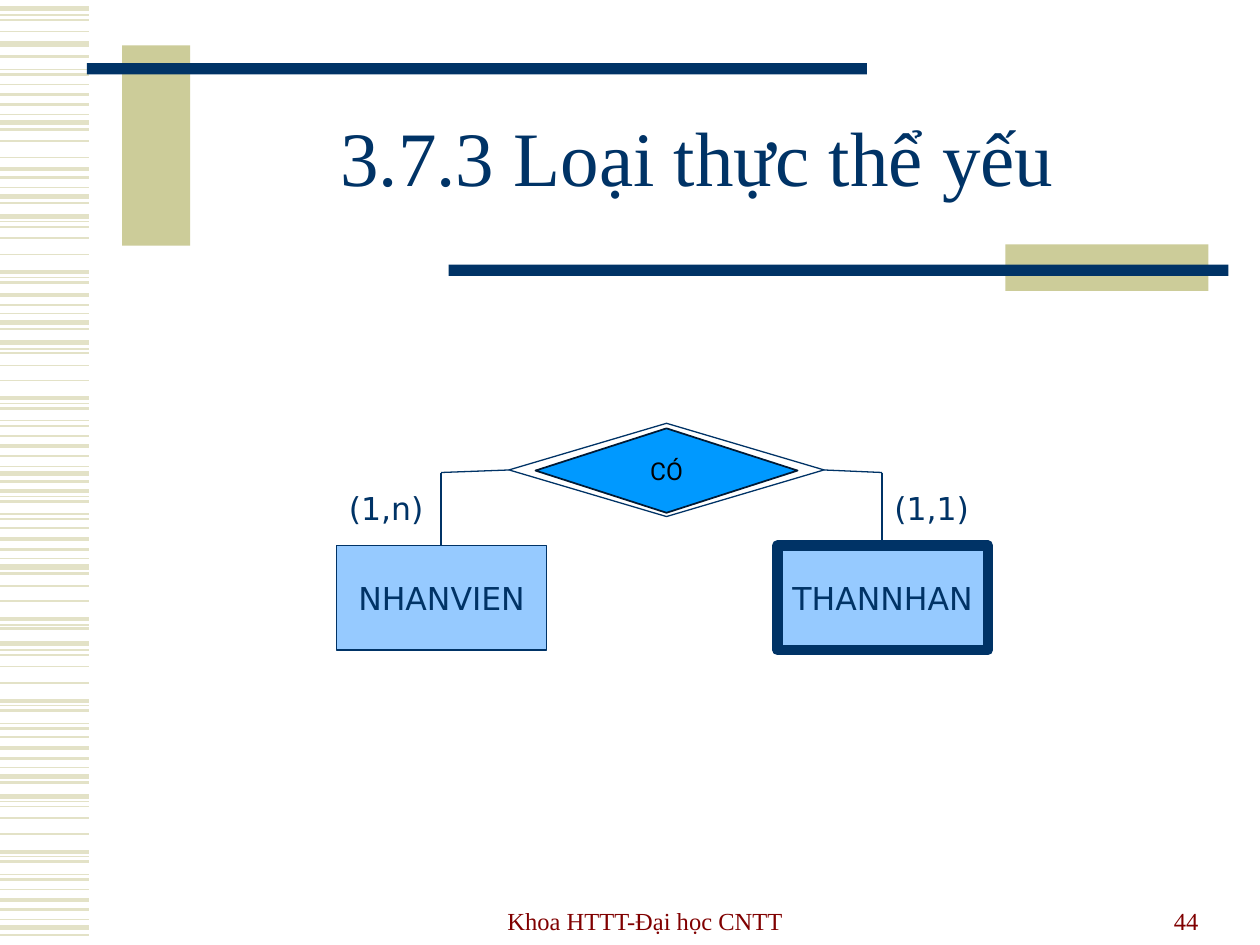
from dataclasses import dataclass

from lxml import etree
from pptx import Presentation
from pptx.dml.color import RGBColor
from pptx.enum.shapes import MSO_CONNECTOR, MSO_SHAPE
from pptx.enum.text import MSO_ANCHOR, PP_ALIGN
from pptx.oxml.ns import qn
from pptx.util import Inches, Pt

RECT, DIAMOND = MSO_SHAPE.RECTANGLE, MSO_SHAPE.FLOWCHART_DECISION
LEFT, CENTER, RIGHT = PP_ALIGN.LEFT, PP_ALIGN.CENTER, PP_ALIGN.RIGHT
TOP, MIDDLE, BOTTOM = MSO_ANCHOR.TOP, MSO_ANCHOR.MIDDLE, MSO_ANCHOR.BOTTOM


@dataclass(frozen=True)
class Theme:
    navy: str = "003366"
    khaki: str = "CCCC99"
    stripe: str = "E3E2C7"
    sky: str = "96CAFF"
    blue: str = "0099FF"
    edge: str = "001933"
    maroon: str = "800000"
    black: str = "000000"
    serif: str = "Times New Roman"
    sans: str = "DejaVu Sans"
    label: str = "Roboto"
    title: int = 44
    body: int = 18
    small: int = 14


theme = Theme()
deck = Presentation()
deck.slide_width, deck.slide_height = Inches(10), Inches(7.5)
slide = deck.slides.add_slide(deck.slide_layouts[6])


def write(shape, text, size=theme.body, font=theme.sans, color=theme.navy,
          align=CENTER, anchor=MIDDLE, wrap=True, space=None):
    frame = shape.text_frame
    frame.word_wrap = wrap
    frame.vertical_anchor = anchor
    para = frame.paragraphs[0]
    para.alignment = align
    if space:
        para.line_spacing = space
    run = para.add_run()
    run.text = text
    run.font.size, run.font.name = Pt(size), font
    run.font.color.rgb = RGBColor.from_string(color)


def rule(start, end, color, width):
    """Draw a straight line without a shadow."""
    line = slide.shapes.add_connector(
        MSO_CONNECTOR.STRAIGHT, *map(Inches, start + end))
    line.line.color.rgb = RGBColor.from_string(color)
    line.line.width = Pt(width)
    etree.SubElement(line._element.spPr, qn("a:effectLst"))


# Striped left margin: line width -> heights on the slide
stripes = {
    0.75: (0.12, 0.55, 0.91, 1.49, 1.76, 2.2, 2.49, 2.77, 3.2, 3.34, 3.7, 3.94,
           4.08, 4.43, 4.96, 5.16, 5.6, 5.74, 6.09, 6.36, 6.8, 6.94, 7.3),
    1: (0.16, 0.25, 0.67, 1.12, 1.25, 1.8, 1.89, 2.02, 2.8, 2.9, 3.02, 3.46,
        4.19, 4.65, 4.77, 5.2, 5.29, 5.42, 5.85, 6.4, 6.49, 6.62, 7.06),
    1.5: (0.45, 0.59, 0.83, 1.03, 1.41, 1.61, 2.24, 2.42, 2.61, 3.24, 3.38,
          3.62, 3.82, 3.98, 4.12, 4.36, 4.55, 4.99, 5.64, 5.78, 6.02, 6.21,
          6.84, 6.98, 7.22, 7.42),
    2.25: (0.75, 1.34, 2.16, 2.34, 3.16, 3.54, 3.9, 4.28, 4.91, 5.56, 5.94,
           6.76, 7.14),
    3: (0.07, 0.35, 0.97, 1.56, 1.72, 2.56, 2.72, 3.76, 4.5, 5.11, 6.16, 6.32,
        7.36),
}
for width, rows in stripes.items():
    for y in rows:
        rule((0, y), (0.71, y), theme.stripe, width)

# Links from the relationship to each entity
for x, tip in ((3.5, 4.04), (7, 6.54)):
    rule((x, 3.75), (tip, 3.73), theme.navy, 0.75)
    rule((x, 3.75), (x, 4.33), theme.navy, 0.75)

# Title bars, then entities and the double diamond
forms = (
    (RECT, (0.97, 0.36, 0.54, 1.59), theme.khaki, None, 0, None),
    (RECT, (0.69, 0.5, 6.19, 0.09), theme.navy, None, 0, None),
    (RECT, (7.98, 1.94, 1.61, 0.37), theme.khaki, None, 0, None),
    (RECT, (3.56, 2.1, 6.19, 0.09), theme.navy, None, 0, None),
    (RECT, (2.67, 4.33, 1.67, 0.83), theme.sky, theme.navy, 0.75,
     dict(text="NHANVIEN", wrap=False)),
    (RECT, (6.17, 4.33, 1.67, 0.83), theme.sky, theme.navy, 6,
     dict(text="THANNHAN", wrap=False)),
    (DIAMOND, (4.25, 3.4, 2.08, 0.67), theme.blue, theme.edge, 1,
     dict(text="CÓ", size=theme.small, font=theme.label, color=theme.black)),
    (DIAMOND, (4.04, 3.36, 2.5, 0.74), None, theme.navy, 0.75, None),
)
for kind, place, fill, edge, width, label in forms:
    form = slide.shapes.add_shape(kind, *map(Inches, place))
    form.shadow.inherit = False
    if fill:
        form.fill.solid()
        form.fill.fore_color.rgb = RGBColor.from_string(fill)
    else:
        form.fill.background()
    if edge:
        form.line.color.rgb = RGBColor.from_string(edge)
        form.line.width = Pt(width)
    else:
        form.line.fill.background()
    if label:
        write(form, **label)

# Title, cardinalities and footer
foot = dict(size=theme.small, font=theme.serif, color=theme.maroon,
            anchor=BOTTOM)
card = dict(align=LEFT, anchor=TOP)
texts = (
    ((1.5, 0.67, 8.07, 1.25), "3.7.3 Loại thực thể yếu",
     dict(size=theme.title, font=theme.serif, space=0.85)),
    ((2.67, 3.83, 1, 0.4), "(1,n)", card),
    ((7, 3.83, 1, 0.4), "(1,1)", card),
    ((3.43, 6.97, 3.38, 0.5), "Khoa HTTT-Đại học CNTT", foot),
    ((7.21, 6.97, 2.4, 0.5), "44", dict(foot, align=RIGHT)),
)
for place, text, look in texts:
    write(slide.shapes.add_textbox(*map(Inches, place)), text, **look)

deck.save("out.pptx")
